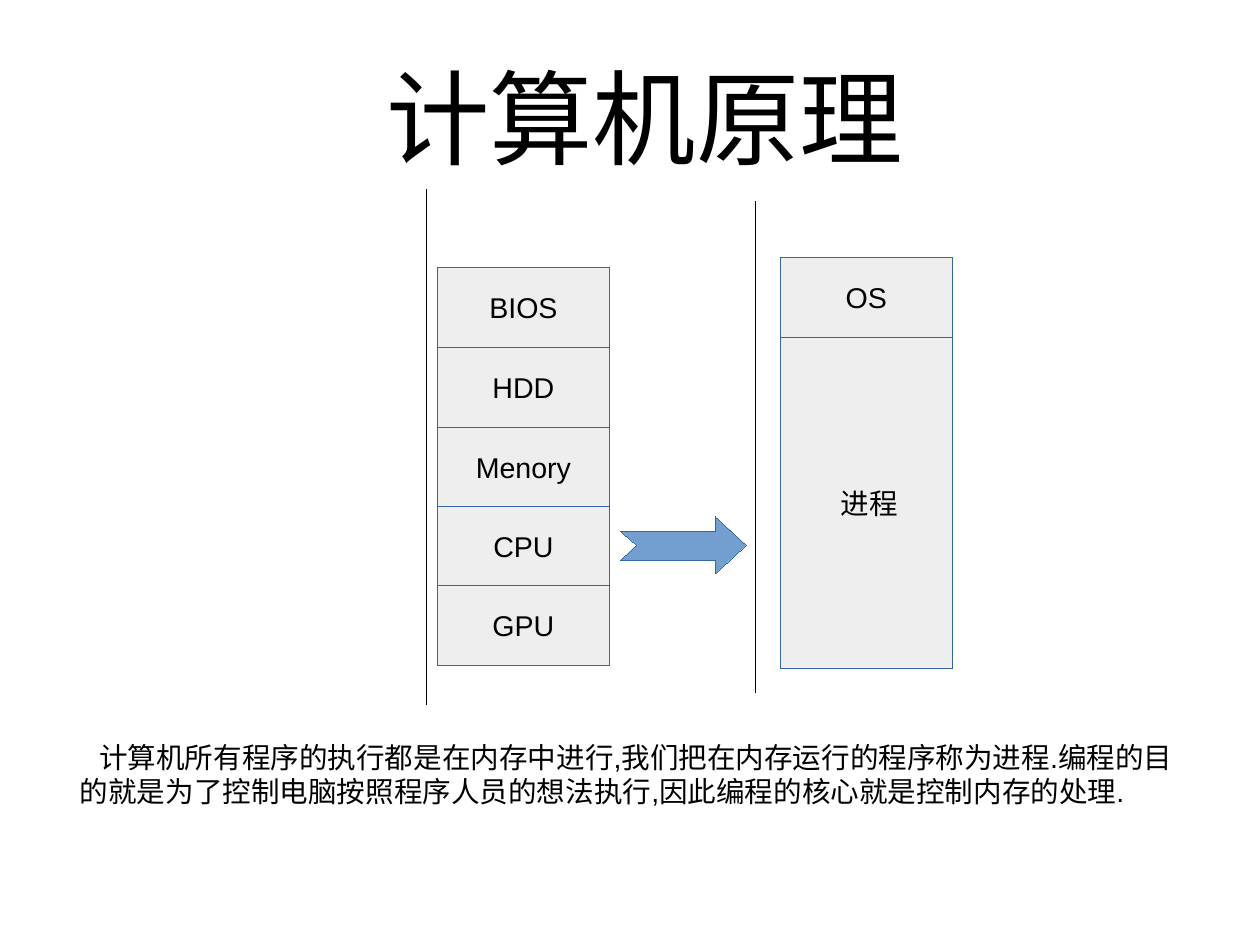
"""Build a slide that shows hardware parts leading to the operating system and its processes."""
from lxml.etree import SubElement
from pptx import Presentation
from pptx.dml.color import RGBColor
from pptx.enum.shapes import MSO_CONNECTOR, MSO_SHAPE
from pptx.enum.text import MSO_ANCHOR, PP_ALIGN
from pptx.oxml.ns import qn
from pptx.util import Cm, Inches, Pt

BLACK = RGBColor(0x00, 0x00, 0x00)
GREY = RGBColor(0xEE, 0xEE, 0xEE)
BLUE = RGBColor(0x72, 0x9F, 0xCF)
DARK_BLUE = RGBColor(0x34, 0x65, 0xA4)

TITLE = "计算机原理"
EXPLANATION = (
    "计算机所有程序的执行都是在内存中进行,我们把在内存运行的程序称为进程."
    "编程的目的就是为了控制电脑按照程序人员的想法执行,因此编程的核心就是控制内存的处理."
)
HARDWARE = [("BIOS", 2.34), ("HDD", 3.04), ("Menory", 3.74), ("CPU", 4.43), ("GPU", 5.12)]
SOFTWARE = [("OS", 0.7), (" 进程", 2.9)]
DIVIDERS = [(3.73, 1.66, 6.16), (6.61, 1.76, 6.06)]
ARROW = [(5.43, 4.65), (6.26, 4.65), (6.26, 4.52), (6.53, 4.77),
         (6.26, 5.02), (6.26, 4.9), (5.43, 4.9), (5.57, 4.77)]

BOX_WIDTH, BOX_HEIGHT = 1.5, 0.7
HARDWARE_LEFT = 3.83
SOFTWARE_LEFT, SOFTWARE_TOP = 6.83, 2.25
FIRST_LINE_INDENT = 0.17

TITLE_FRAME = {
    "vertical_anchor": MSO_ANCHOR.MIDDLE, "word_wrap": True,
    "margin_left": 0, "margin_right": 0, "margin_top": 0, "margin_bottom": 0,
}
BOX_FRAME = {"vertical_anchor": MSO_ANCHOR.MIDDLE, "word_wrap": False}
EXPLANATION_FRAME = {"vertical_anchor": MSO_ANCHOR.TOP, "word_wrap": True}
TITLE_FONT = {"name": "Times New Roman", "size": Pt(65.1)}
BODY_FONT = {"name": "Arial", "size": Pt(18)}


def apply_format(target, values):
    for name, value in values.items():
        setattr(target, name, value)


def write_text(shape, text, frame_format, font_format, alignment):
    frame = shape.text_frame
    apply_format(frame, frame_format)
    paragraph = frame.paragraphs[0]
    paragraph.alignment = alignment
    run = paragraph.add_run()
    run.text = text
    apply_format(run.font, font_format)
    run.font.color.rgb = BLACK
    return paragraph


def set_hairline(shape, color):
    shape.line.color.rgb = color
    shape.element.spPr.find(qn("a:ln")).set("w", "0")


def paint(shape, fill_color):
    shape.shadow.inherit = False
    shape.fill.solid()
    shape.fill.fore_color.rgb = fill_color
    set_hairline(shape, DARK_BLUE)


def add_box(slide, label, left, top, height):
    position = [Inches(value) for value in (left, top, BOX_WIDTH, height)]
    box = slide.shapes.add_shape(MSO_SHAPE.RECTANGLE, *position)
    paint(box, GREY)
    write_text(box, label, BOX_FRAME, BODY_FONT, PP_ALIGN.CENTER)


def add_divider(slide, x, top, bottom):
    divider = slide.shapes.add_connector(
        MSO_CONNECTOR.STRAIGHT, Inches(x), Inches(top), Inches(x), Inches(bottom))
    set_hairline(divider, BLACK)
    SubElement(divider.element.spPr, qn("a:effectLst"))


def add_arrow(slide):
    points = [(Inches(x), Inches(y)) for x, y in ARROW]
    builder = slide.shapes.build_freeform(*points[0])
    builder.add_line_segments(points[1:], close=True)
    paint(builder.convert_to_shape(), BLUE)


def main():
    presentation = Presentation()
    presentation.slide_width = Cm(28)
    presentation.slide_height = Cm(21)
    slide = presentation.slides.add_slide(presentation.slide_layouts[6])

    title = slide.shapes.add_textbox(Inches(0.68), Inches(0.33), Inches(9.92), Inches(1.38))
    write_text(title, TITLE, TITLE_FRAME, TITLE_FONT, PP_ALIGN.CENTER)

    for divider in DIVIDERS:
        add_divider(slide, *divider)

    for label, top in HARDWARE:
        add_box(slide, label, HARDWARE_LEFT, top, BOX_HEIGHT)
    add_arrow(slide)

    top = SOFTWARE_TOP
    for label, height in SOFTWARE:
        add_box(slide, label, SOFTWARE_LEFT, top, height)
        top += height

    explanation = slide.shapes.add_textbox(Inches(0.6), Inches(6.42), Inches(10), Inches(0.98))
    paragraph = write_text(
        explanation, EXPLANATION, EXPLANATION_FRAME, BODY_FONT, PP_ALIGN.LEFT)
    paragraph._p.get_or_add_pPr().set("indent", str(Inches(FIRST_LINE_INDENT)))

    presentation.save("out.pptx")


if __name__ == "__main__":
    main()
